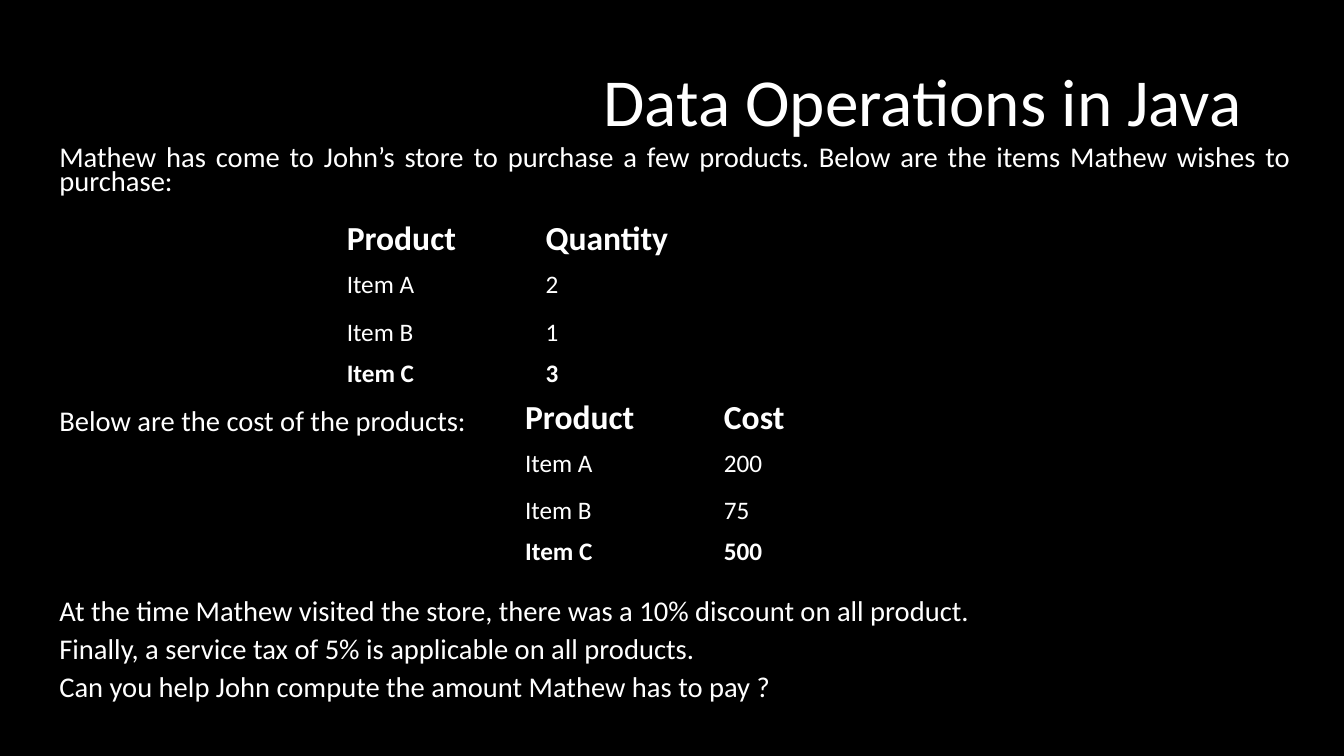
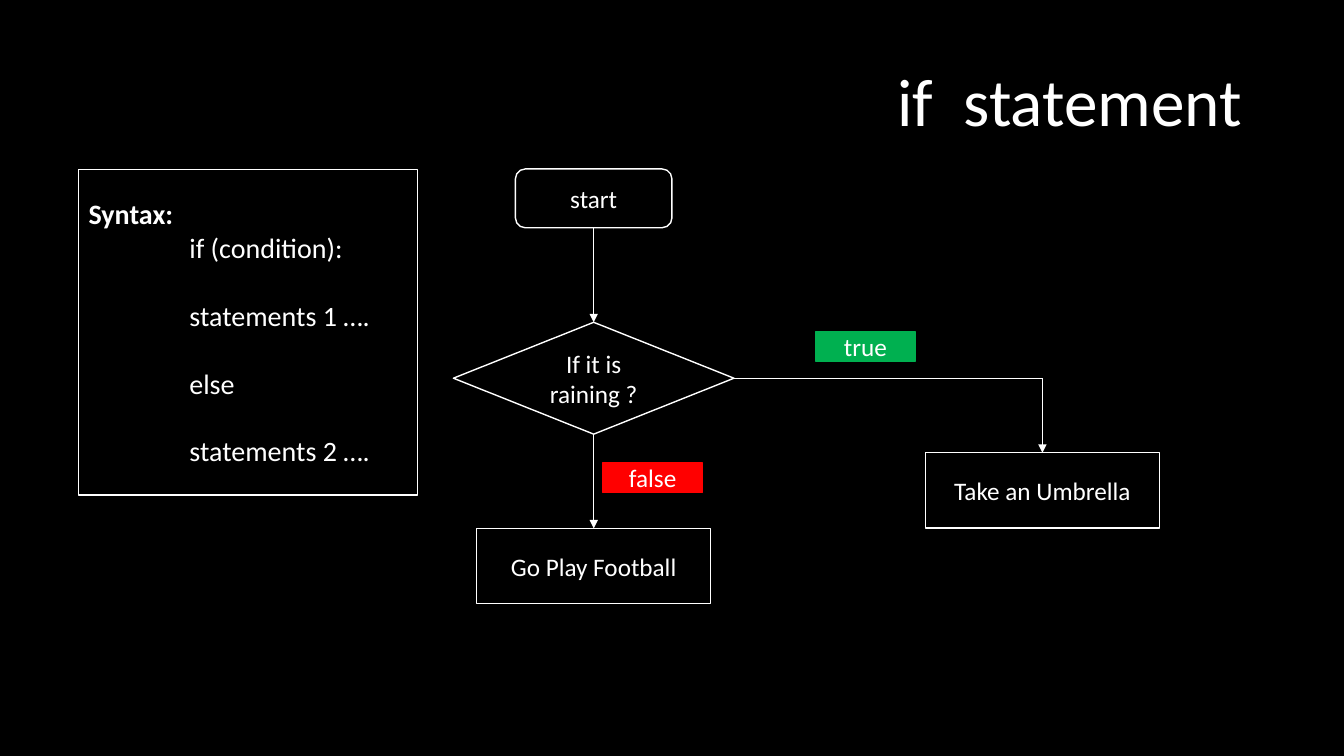
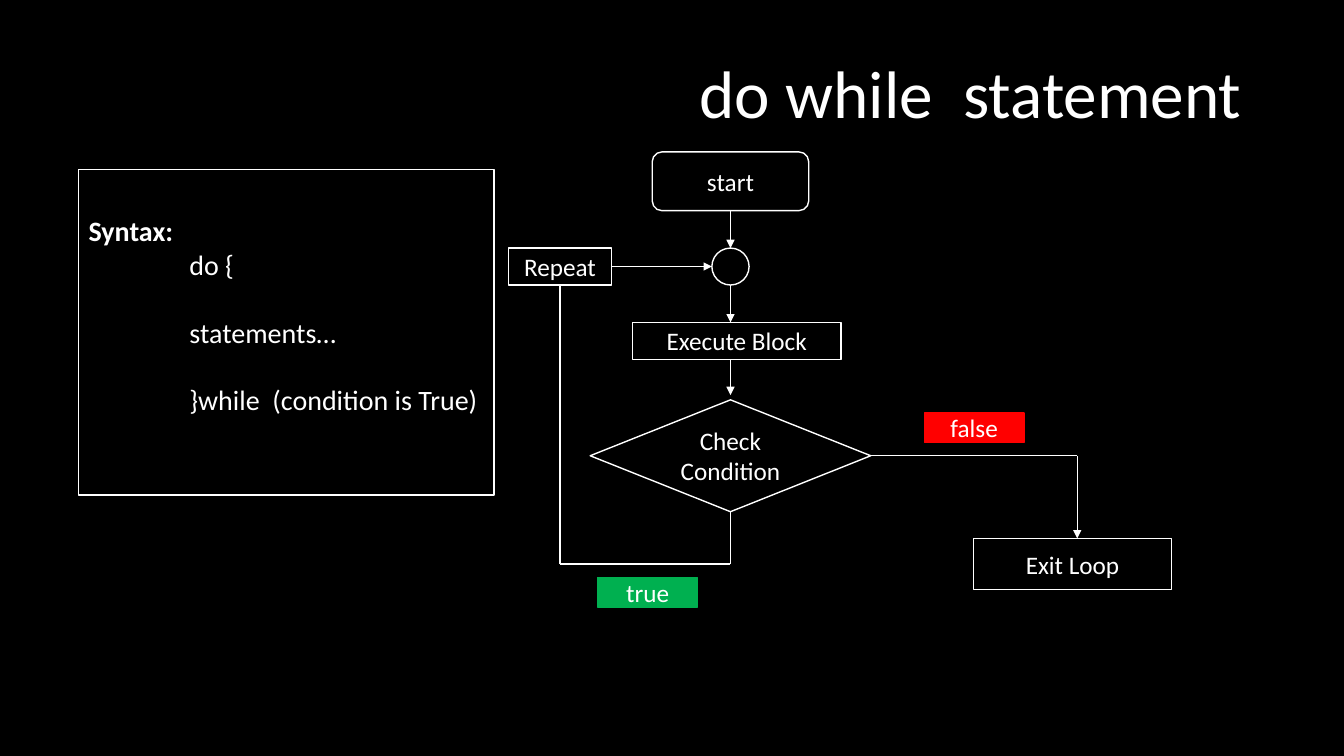
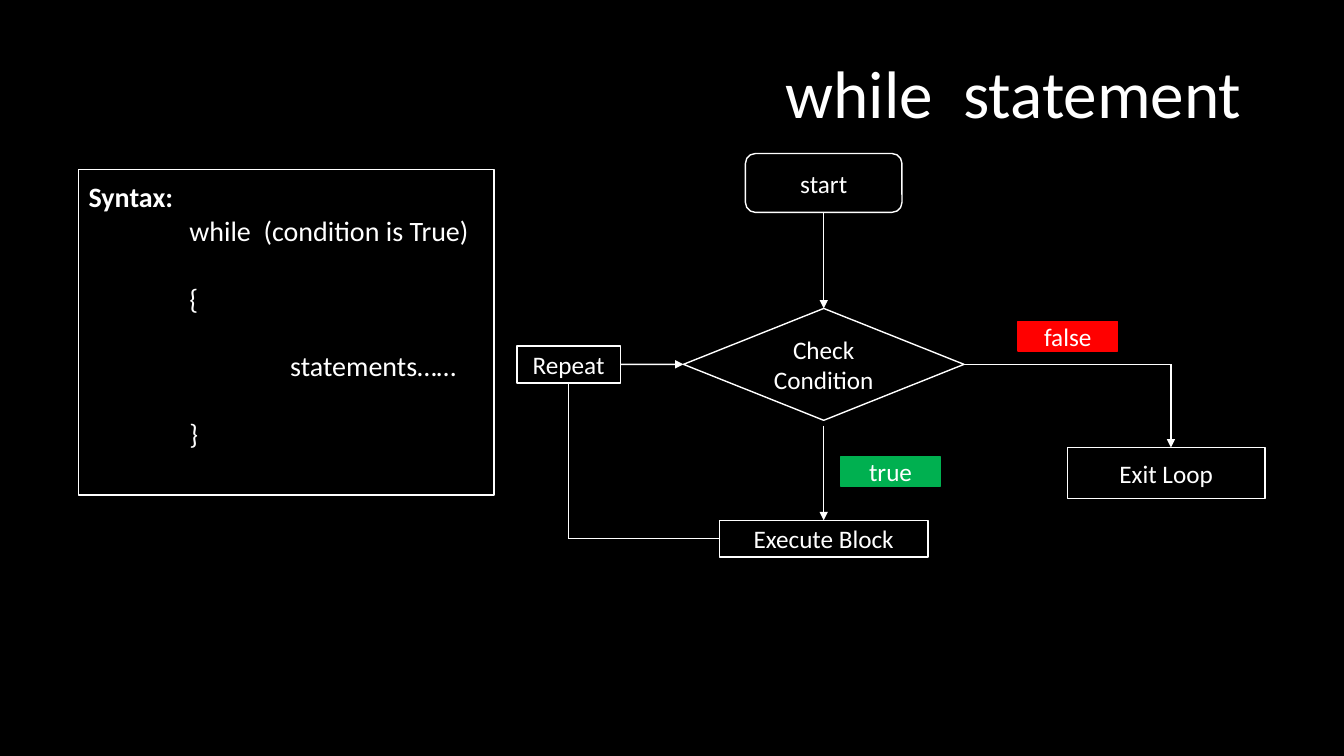
from lxml.etree import SubElement
from pptx import Presentation
from pptx.dml.color import RGBColor
from pptx.enum.shapes import MSO_CONNECTOR, MSO_SHAPE
from pptx.enum.text import MSO_ANCHOR, PP_ALIGN
from pptx.oxml.ns import qn
from pptx.util import Pt

FONT = "Calibri"
BLACK, WHITE, GREEN, RED = "000000", "FFFFFF", "00B050", "FF0000"
PLAIN_TABLE = "{2D5ABB26-0587-4C30-8999-92F81FD0307C}"
TITLE_RIGHT = 894.2
CODE_LINE = 24.4

# Sizes (width, height) shared by the flowcharts
START, DECISION, ACTION = (111.8, 42), (200.4, 79.9), (167.2, 53.8)
BLOCK, EXIT, REPEAT = (149, 26.4), (141.2, 36.6), (73.8, 26.4)
LABEL, JUNCTION = (71.3, 21), (26.6, 26.4)


def color(value):
    return RGBColor.from_string(value)


# Text
def add_text(tf, text, size=18, bold=False, align=PP_ALIGN.LEFT, spacing=None,
             before=0, indent=0):
    p = tf.paragraphs[0]
    if p.runs:
        p = tf.add_paragraph()
        p.space_before = Pt(before)
    p.alignment = align
    if spacing:
        p.line_spacing = spacing
    if indent:
        p._p.get_or_add_pPr().set("marL", str(Pt(indent)))
    r = p.add_run()
    r.text = text
    r.font.name, r.font.size, r.font.bold = FONT, Pt(size), bold
    r.font.color.rgb = color(WHITE)


def add_box(s, x, y, w, h):
    tf = s.shapes.add_textbox(Pt(x), Pt(y), Pt(w), Pt(h)).text_frame
    tf.word_wrap = True
    return tf


def add_slide(prs, title, title_height=80):
    s = prs.slides.add_slide(prs.slide_layouts[6])
    tf = add_box(s, 66.2, 28.8, TITLE_RIGHT - 66.2, title_height)
    tf.vertical_anchor = MSO_ANCHOR.MIDDLE
    add_text(tf, title, size=48, align=PP_ALIGN.RIGHT, spacing=0.9)
    return s


def body(s, y, h, *lines):
    tf = add_box(s, 35.3, y, 893.5, h)
    for text in lines:
        add_text(tf, text, size=20.4, align=PP_ALIGN.JUSTIFY, spacing=0.7, before=10)


# Table
def add_table(s, x, y, rows):
    heights = (36.5, 34, 29.2, 29.2)
    widths = (142, 138)
    table = s.shapes.add_table(len(rows), len(widths), Pt(x), Pt(y),
                               Pt(sum(widths)), Pt(sum(heights))).table
    table._tbl.tblPr.find(qn("a:tableStyleId")).text = PLAIN_TABLE
    table.horz_banding = False
    for column, width in zip(table.columns, widths):
        column.width = Pt(width)
    for i, values in enumerate(rows):
        table.rows[i].height = Pt(heights[i])
        for j, value in enumerate(values):
            cell = table.cell(i, j)
            cell.fill.solid()
            cell.fill.fore_color.rgb = color(BLACK)
            add_text(cell.text_frame, value, size=18 if i else 24,
                     bold=i in (0, len(rows) - 1))


# Flowchart parts
def add_node(s, cx, y, size, text="", kind=MSO_SHAPE.RECTANGLE, fill=BLACK, line=WHITE):
    w, h = size
    sp = s.shapes.add_shape(kind, Pt(cx - w / 2), Pt(y), Pt(w), Pt(h))
    sp.shadow.inherit = False
    sp.fill.solid()
    sp.fill.fore_color.rgb = color(fill)
    sp.line.color.rgb = color(line)
    sp.line.width = Pt(1)
    sp.text_frame.vertical_anchor = MSO_ANCHOR.MIDDLE
    if text:
        add_text(sp.text_frame, text, align=PP_ALIGN.CENTER)
    return sp


def add_label(s, cx, y, text):
    fill = GREEN if text == "true" else RED
    add_node(s, cx, y, LABEL, text, fill=fill, line=fill)


def add_syntax(s, width, lines, bottom=3.6):
    """Draw the code box; lines are (text, indent, space before)."""
    sp = add_node(s, 56.2 + width / 2, 121, (width, 232.5))
    tf = sp.text_frame
    tf.margin_bottom = Pt(bottom)
    add_text(tf, "Syntax:", size=20, bold=True)
    for text, indent, before in lines:
        add_text(tf, text, size=20, indent=indent, before=before)


def site(sp, i):
    """Middle of a side in points: 0 top, 1 left, 2 bottom, 3 right."""
    fx, fy = ((0.5, 0), (0, 0.5), (0.5, 1), (1, 0.5))[i]
    return (sp.left + sp.width * fx) / Pt(1), (sp.top + sp.height * fy) / Pt(1)


def add_route(s, *stops, arrow=True):
    """Join stops, each an (x, y) point or a (shape, side) pair, by straight lines."""
    def joined(stop):
        return hasattr(stop[0], "shape_type")

    points = [site(*stop) if joined(stop) else stop for stop in stops]
    for i in range(len(stops) - 1):
        ends = [Pt(v) for point in points[i:i + 2] for v in point]
        c = s.shapes.add_connector(MSO_CONNECTOR.STRAIGHT, *ends)
        if joined(stops[i]):
            c.begin_connect(*stops[i])
        if joined(stops[i + 1]):
            c.end_connect(*stops[i + 1])
        c.line.color.rgb = color(WHITE)
        c.line.width = Pt(1)
        if arrow and i == len(stops) - 2:
            SubElement(c.line._get_or_add_ln(), qn("a:tailEnd"), type="triangle")
        SubElement(c._element.spPr, qn("a:effectLst"))


def add_start(s, cx, y):
    return add_node(s, cx, y, START, "start", MSO_SHAPE.ROUNDED_RECTANGLE)


def add_decision(s, cx, y, text):
    return add_node(s, cx, y, DECISION, text, MSO_SHAPE.FLOWCHART_DECISION)


def add_exit(s, check, cx, y):
    """Exit box, reached from the right corner of the condition."""
    add_node(s, cx, y, EXIT, "Exit Loop")
    bend = cx + 3.4
    add_route(s, (check, 3), (bend, site(check, 3)[1]), (bend, y))


# Slides
def data_operations(prs):
    s = add_slide(prs, "Data Operations in Java", 92.2)
    body(s, 102.2, 46, "Mathew has come to John’s store to purchase a few products. "
         "Below are the items Mathew wishes to purchase:")
    body(s, 290.8, 26, "Below are the cost of the products:")
    body(s, 426.5, 82,
         "At the time Mathew visited the store, there was a 10% discount on all product.",
         "Finally, a service tax of 5% is applicable on all products.",
         "Can you help John compute the amount Mathew has to pay ?")
    items = ("Product", "Item A", "Item B", "Item C")
    add_table(s, 240.5, 152.6, list(zip(items, ("Quantity", "2", "1", "3"))))
    add_table(s, 367.9, 280.1, list(zip(items, ("Cost", "200", "75", "500"))))


def if_statement(prs):
    s = add_slide(prs, "if  statement", 92.2)
    add_syntax(s, 242.2, [("if (condition):", 72, 0), ("statements 1 ….", 72, CODE_LINE),
                          ("else", 72, CODE_LINE), ("statements 2 ….", 72, CODE_LINE)])
    cx = 424.1
    start = add_start(s, cx, 120.7)
    check = add_decision(s, cx, 230.2, "If it is raining ?")
    umbrella = add_node(s, 744.6, 323.4, ACTION, "Take an Umbrella")
    football = add_node(s, cx, 377.4, ACTION, "Go Play Football")
    add_route(s, (start, 2), (check, 0))
    add_route(s, (check, 3), (site(umbrella, 0)[0], site(check, 3)[1]), (umbrella, 0))
    add_route(s, (check, 2), (football, 0))
    add_label(s, 618.1, 237, "true")
    add_label(s, 466.2, 330.6, "false")


def do_while_statement(prs):
    s = add_slide(prs, "do while  statement")
    add_syntax(s, 296.8, [("do {", 72, 0), ("statements…", 72, CODE_LINE),
                          ("}while  (condition is True)", 72, CODE_LINE)],
               bottom=3.6 + CODE_LINE)
    cx = 521.8
    start = add_start(s, cx, 108.5)
    junction = add_node(s, cx, 177.2, JUNCTION, kind=MSO_SHAPE.OVAL)
    block = add_node(s, 526.3, 230.3, BLOCK, "Execute Block")
    check = add_decision(s, cx, 285.6, "Check Condition")
    repeat = add_node(s, 400.1, 177.2, REPEAT, "Repeat")
    add_route(s, (start, 2), site(junction, 0))
    add_route(s, site(junction, 2), (cx, site(block, 0)[1]))
    add_route(s, (cx, site(block, 2)[1]), (cx, 282.2))
    add_route(s, (repeat, 3), site(junction, 1))
    add_route(s, (check, 2), (cx, 403), (site(repeat, 2)[0], 403), (repeat, 2), arrow=False)
    add_exit(s, check, 766.1, 384.6)
    add_label(s, 462.6, 412.6, "true")
    add_label(s, 695.8, 295, "false")


def while_statement(prs):
    s = add_slide(prs, "while  statement")
    add_syntax(s, 296.8, [("while  (condition is True)", 72, 0), ("{", 72, CODE_LINE),
                          ("statements……", 144, CODE_LINE), ("}", 72, CODE_LINE)],
               bottom=3.6 + CODE_LINE)
    cx = 588.4
    start = add_start(s, cx, 109.7)
    check = add_decision(s, cx, 220.3, "Check Condition")
    block = add_node(s, cx, 371.6, BLOCK, "Execute Block")
    repeat = add_node(s, 406.2, 247.1, REPEAT, "Repeat")
    add_route(s, (start, 2), (check, 0))
    add_route(s, (cx, 304), (block, 0))
    add_route(s, (repeat, 3), (check, 1))
    add_route(s, (block, 1), (site(repeat, 2)[0], site(block, 1)[1]), (repeat, 2), arrow=False)
    add_exit(s, check, 833, 319.6)
    add_label(s, 762.7, 229.7, "false")
    add_label(s, 636.1, 326.3, "true")


def main():
    prs = Presentation()
    prs.slide_width, prs.slide_height = Pt(960), Pt(540)
    background = prs.slide_master.background.fill
    background.solid()
    background.fore_color.rgb = color(BLACK)
    data_operations(prs)
    if_statement(prs)
    do_while_statement(prs)
    while_statement(prs)
    prs.save("out.pptx")


if __name__ == "__main__":
    main()
